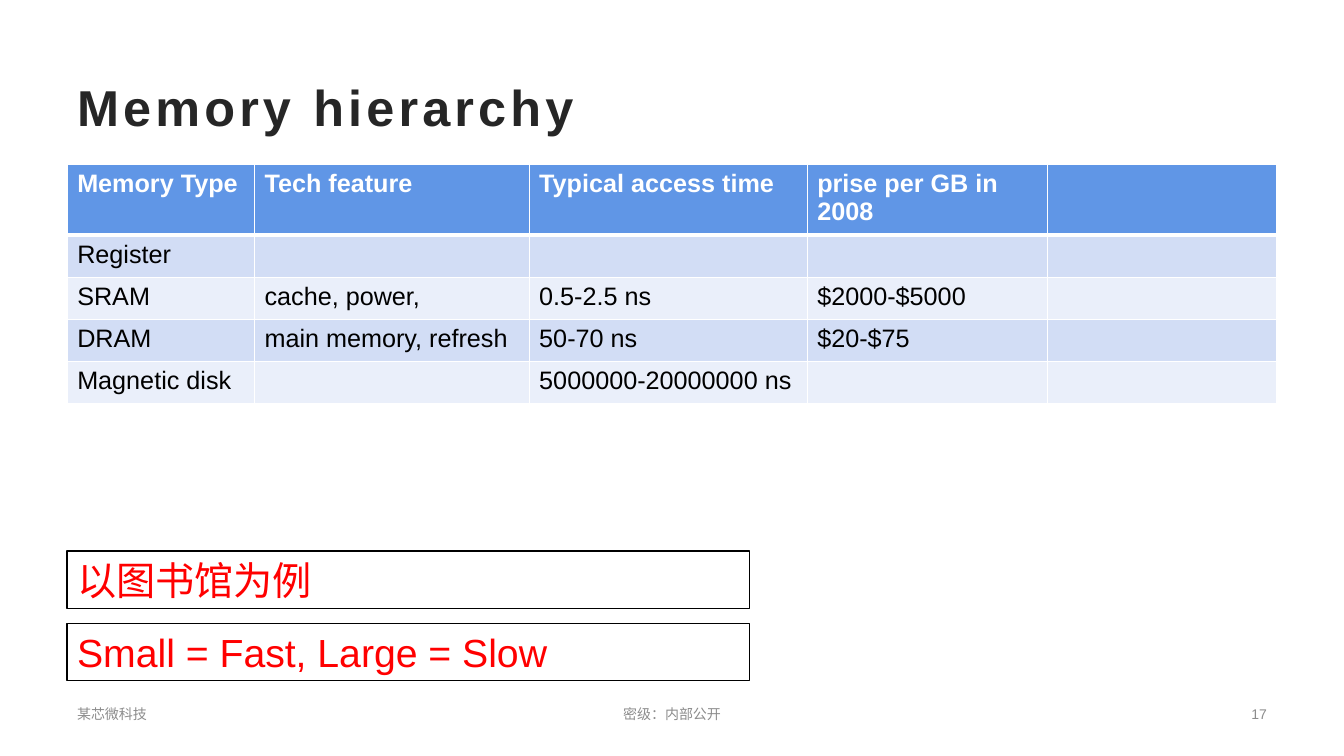
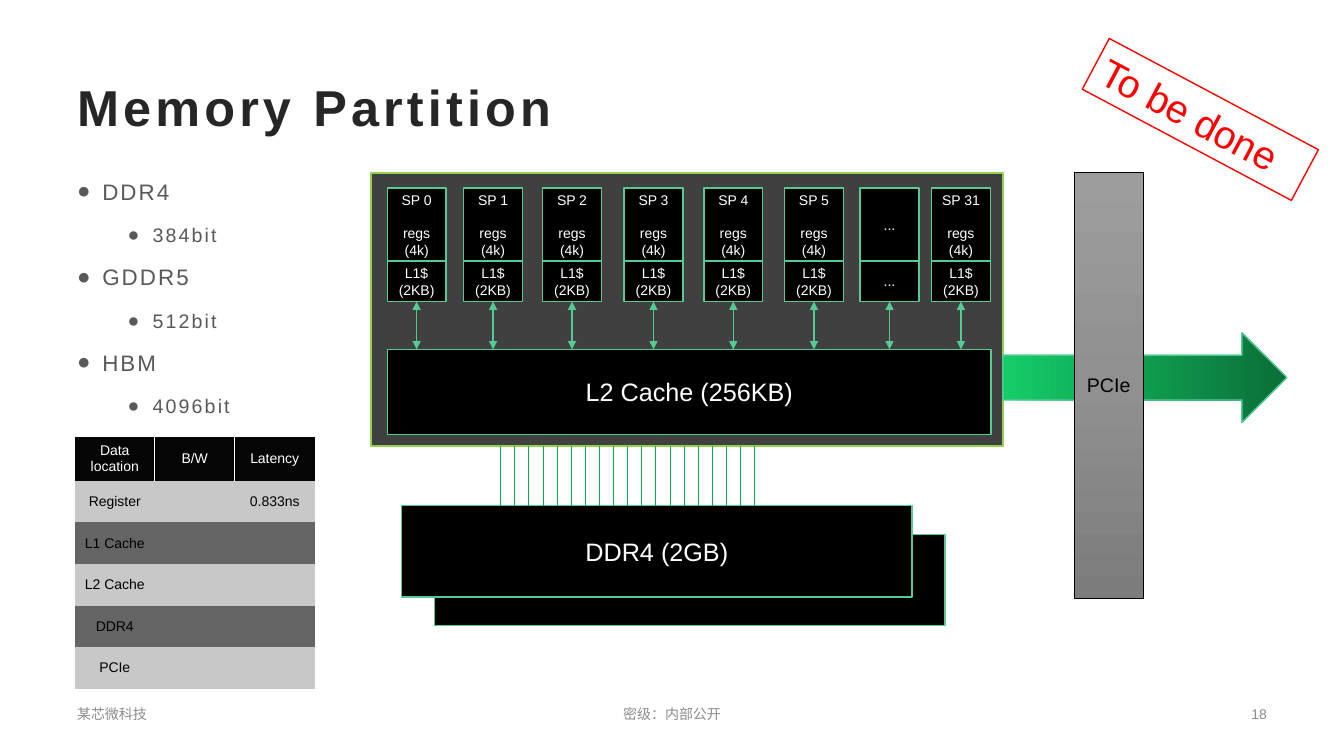
from lxml.etree import SubElement
from pptx import Presentation
from pptx.dml.color import RGBColor
from pptx.enum.shapes import MSO_CONNECTOR, MSO_SHAPE
from pptx.enum.text import MSO_ANCHOR, PP_ALIGN
from pptx.oxml.ns import qn
from pptx.util import Emu, Inches, Pt

COLORS = {
    "white": "FFFFFF", "black": "000000", "title": "262626", "body": "595959",
    "footer": "8C8C8C", "note": "FF0000", "header": "6096E6",
    "band_dark": "D2DDF5", "band_light": "EAEFFA",
    "chip": "404040", "chip_edge": "92D050", "edge": "56CA95", "bus": "00B050",
    "arrow_from": "14CD68", "arrow_to": "0B6E38",
    "pcie_top": "9D9D9D", "pcie_mid": "909090", "pcie_end": "7C7C7C",
    "latency_header": "050505", "latency_light": "C8C8C8", "latency_dark": "646464",
}
FONT = "Arial"
COLUMNS, ROWS = 160, 90
CELL = 76200  # one square grid cell, in EMU
MARGIN, CONTENT = 8, 144
ALIGN = {"l": PP_ALIGN.LEFT, "c": PP_ALIGN.CENTER, "r": PP_ALIGN.RIGHT}


def grid(*cells):
    return [Emu(round(cell * CELL)) for cell in cells]


def rgb(name):
    return RGBColor.from_string(COLORS[name])


class Deck:
    """Holds the shared style and the slide being drawn."""

    def __init__(self):
        self.prs = Presentation()
        self.prs.slide_width, self.prs.slide_height = grid(COLUMNS, ROWS)
        self.slide = None

    def new_slide(self, title, number):
        self.slide = self.prs.slides.add_slide(self.prs.slide_layouts[6])
        self.text((MARGIN, 8, CONTENT, 9.25), [title], 36, "title",
                  bold=True, spacing=3)
        footers = [(MARGIN, 35.4, "某芯微科技", "l"), (54, 52, "密级：内部公开", "c"),
                   (116.6, 35.4, str(number), "r")]
        for left, width, words, align in footers:
            self.text((left, 82.9, width, 4.2), [words], 10, "footer", align)

    def fill_frame(self, frame, lines, size, color, align="l", bold=False,
                   spacing=0, anchor=MSO_ANCHOR.MIDDLE):
        frame.word_wrap = True
        frame.vertical_anchor = anchor
        for index, line in enumerate(lines):
            paragraph = frame.add_paragraph() if index else frame.paragraphs[0]
            paragraph.alignment = ALIGN[align]
            self.run(paragraph, line, size, color, bold, spacing)

    def run(self, paragraph, words, size, color, bold=False, spacing=0):
        run = paragraph.add_run()
        run.text = words
        run.font.name, run.font.size, run.font.bold = FONT, Pt(size), bold
        run.font.color.rgb = rgb(color)
        if spacing:
            run.font._element.set("spc", str(round(spacing * 100)))

    def text(self, box, lines, size, color, align="l", **style):
        frame = self.slide.shapes.add_textbox(*grid(*box)).text_frame
        self.fill_frame(frame, lines, size, color, align, **style)

    def bullets(self, box, items):
        """Items are (level, words) pairs."""
        frame = self.slide.shapes.add_textbox(*grid(*box)).text_frame
        frame.word_wrap = True
        for index, (level, words) in enumerate(items):
            paragraph = frame.add_paragraph() if index else frame.paragraphs[0]
            paragraph.level = level
            paragraph.line_spacing = (1.3, 1.2)[level]
            paragraph.space_after = Pt((10, 6)[level])
            props = paragraph._p.get_or_add_pPr()
            props.set("marL", str(Inches((0.25, 0.75)[level])))
            props.set("indent", str(-Inches(0.25)))
            SubElement(props, qn("a:buFont"), typeface=FONT)
            SubElement(props, qn("a:buChar"), char="●")
            self.run(paragraph, words, (16, 14)[level], "body", spacing=1.5)

    def shape(self, box, fill, edge, weight=1, kind=MSO_SHAPE.RECTANGLE):
        shape = self.slide.shapes.add_shape(kind, *grid(*box))
        shape.shadow.inherit = False
        shape.fill.solid()
        shape.fill.fore_color.rgb = rgb(fill)
        shape.line.color.rgb = rgb(edge)
        shape.line.width = Pt(weight)
        return shape

    def gradient(self, shape, names, angle):
        """Spread the named colours evenly along the angle."""
        shape.fill.gradient()
        shape.fill.gradient_angle = angle
        stops = shape._element.spPr.find(qn("a:gradFill")).find(qn("a:gsLst"))
        for stop in list(stops):
            stops.remove(stop)
        for index, name in enumerate(names):
            position = round(100000 * index / (len(names) - 1))
            stop = SubElement(stops, qn("a:gs"), pos=str(position))
            SubElement(stop, qn("a:srgbClr"), val=COLORS[name])

    def block(self, box, lines, size):
        """Black hardware block with centred white text."""
        block = self.shape(box, "black", "edge")
        frame = block.text_frame
        frame.margin_left = frame.margin_right = 0
        self.fill_frame(frame, lines, size, "white", "c")
        return block

    def note(self, box, words, edge, rotation=0):
        note = self.shape(box, "white", edge)
        note.rotation = rotation
        self.fill_frame(note.text_frame, [words], 28, "note",
                        anchor=MSO_ANCHOR.TOP)

    def line(self, x, top, bottom, color, weight, start=None, arrows=False):
        line = self.slide.shapes.add_connector(
            MSO_CONNECTOR.STRAIGHT, *grid(x, top, x, bottom))
        if start is not None:
            line.begin_connect(start, 2)
        line.line.color.rgb = rgb(color)
        line.line.width = Pt(weight)
        props = line._element.spPr
        if arrows:
            for end in ("a:headEnd", "a:tailEnd"):
                SubElement(props.find(qn("a:ln")), qn(end), type="triangle")
        SubElement(props, qn("a:effectLst"))

    def table(self, origin, widths, heights, rows, fills, size, borders,
              align="l", bold_header=False, anchor=MSO_ANCHOR.TOP, side=0.1):
        """fills: header, odd and even rows; borders(row, col): {side: points}."""
        box = grid(*origin, sum(widths), sum(heights))
        table = self.slide.shapes.add_table(len(rows), len(widths), *box).table
        table.horz_banding = table.first_row = False
        style = table._tbl.tblPr.find(qn("a:tableStyleId"))
        style.text = "{2D5ABB26-0587-4C30-8999-92F81FD0307C}"  # no style, no grid
        for column, width in zip(table.columns, grid(*widths)):
            column.width = width
        for row, height in zip(table.rows, grid(*heights)):
            row.height = height
        for r, values in enumerate(rows):
            for c, words in enumerate(values):
                cell = table.cell(r, c)
                self.borders(cell, borders(r, c))
                cell.fill.solid()
                cell.fill.fore_color.rgb = rgb(fills[0 if r == 0 else 2 - r % 2])
                cell.margin_left = cell.margin_right = Inches(side)
                if words:
                    self.fill_frame(cell.text_frame, [words], size,
                                    "black" if r else "white", align,
                                    bold=bold_header and r == 0)
                cell.vertical_anchor = anchor

    def borders(self, cell, weights):
        props = cell._tc.get_or_add_tcPr()
        for side in "LRTB":
            if side in weights:
                edge = SubElement(props, qn("a:ln" + side),
                                  w=str(Pt(weights[side])))
                fill = SubElement(edge, qn("a:solidFill"))
                SubElement(fill, qn("a:srgbClr"), val=COLORS["white"])


def hierarchy_slide(deck):
    deck.new_slide("Memory hierarchy", 17)

    # Memory types
    memory_types = [
        ["Memory Type", "Tech feature", "Typical access time",
         "prise per GB in 2008", ""],
        ["Register", "", "", "", ""],
        ["SRAM", "cache, power,", "0.5-2.5 ns", "$2000-$5000", ""],
        ["DRAM", "main memory, refresh", "50-70 ns", "$20-$75", ""],
        ["Magnetic disk", "", "5000000-20000000 ns", "", ""],
    ]

    def ruled(row, col):
        return {"L": 1, "R": 1, "T": 3 if row == 1 else 1, "B": 1 if row else 3}

    deck.table((MARGIN, 19.6), [22.3, 32.7, 33.1, 28.6, 27.3], [7.8] + [5] * 4,
               memory_types, ("header", "band_dark", "band_light"), 18, ruled,
               bold_header=True)

    # Remarks
    for index, remark in enumerate(["以图书馆为例", "Small = Fast, Large = Slow"]):
        deck.note((MARGIN, 65.6 + 8.6 * index, 81.2, 6.85), remark, "black")


def partition_slide(deck):
    deck.new_slide("Memory Partition", 18)

    # Memory interfaces
    widths = {"DDR4": "384bit", "GDDR5": "512bit", "HBM": "4096bit"}
    deck.bullets((MARGIN, 19.6, 34, 32), [
        item for pair in widths.items() for item in enumerate(pair)])

    # Chip with its L2 cache
    chip_bottom, l2_top, ddr_top = 53.1, 41.6, 60.2
    deck.shape((44.2, 20.6, 75.2, chip_bottom - 20.6), "chip", "chip_edge", 1.25)
    deck.block((46.1, l2_top, 71.9, 10.1), ["L2 Cache (256KB)"], 18)

    # Stream processors, each over its L1 cache
    processors = {"SP 0": 46.1, "SP 1": 55.2, "SP 2": 64.6, "SP 3": 74.3,
                  "SP 4": 83.8, "SP 5": 93.4, "...": 102.4, "SP 31": 110.9}
    sp_width, sp_top, sp_height, l1_height = 7, 22.4, 8.7, 4.8
    l1_top = sp_top + sp_height
    for name, left in processors.items():
        elided = name == "..."
        processor = deck.block((left, sp_top, sp_width, sp_height),
                               [name] if elided else [name, "regs", "(4k)"], 10)
        if not elided:
            processor.text_frame.paragraphs[0].space_after = Pt(11.5)
        l1_cache = deck.block((left, l1_top, sp_width, l1_height),
                              [name] if elided else ["L1$", "(2KB)"], 10)
        deck.line(left + sp_width / 2, l1_top + l1_height, l2_top, "edge", 1,
                  start=l1_cache, arrows=True)

    # External memory and its bus
    deck.block((51.7, 63.6, 60.8, 10.9), [], 18)
    deck.block((47.8, ddr_top, 60.8, 10.9), ["DDR4 (2GB)"], 18)
    for wire in range(19):
        deck.line(59.6 + 1.68 * wire, chip_bottom, ddr_top, "bus", 0.5)

    # Host link
    link = deck.shape((119.4, 39.6, 33.8, 10.7), "arrow_from", "edge",
                      kind=MSO_SHAPE.RIGHT_ARROW)
    deck.gradient(link, ["arrow_from", "arrow_to"], 0)
    pcie = deck.shape((127.9, 20.5, 8.2, 50.7), "pcie_mid", "black", 0.5)
    deck.gradient(pcie, ["pcie_top", "pcie_mid", "pcie_end"], 270)
    pcie.text_frame.margin_left = pcie.text_frame.margin_right = 0
    deck.fill_frame(pcie.text_frame, ["PCIe"], 14, "black", "c")

    # Latency by data location
    latencies = [["Data location", "B/W", "Latency"], ["Register", "", "0.833ns"]]
    latencies += [[place, "", ""] for place in
                  ("L1 Cache", "L2 Cache", "DDR4", "PCIe")]

    def header_ruled(row, col):
        if row:
            return {}
        return {side: 0.5 for side, last in (("L", 0), ("R", 2)) if col != last}

    deck.table((8.9, 52), [9.52] * 3, [5.25] + [4.95] * 5, latencies,
               ("latency_header", "latency_light", "latency_dark"), 10,
               header_ruled, "c", anchor=MSO_ANCHOR.MIDDLE, side=0.08)

    # Status stamp
    deck.note((128.8, 10.8, 28.2, 6.85), "To be done", "note", rotation=28)


def main():
    deck = Deck()
    hierarchy_slide(deck)
    partition_slide(deck)
    deck.prs.save("out.pptx")


if __name__ == "__main__":
    main()
